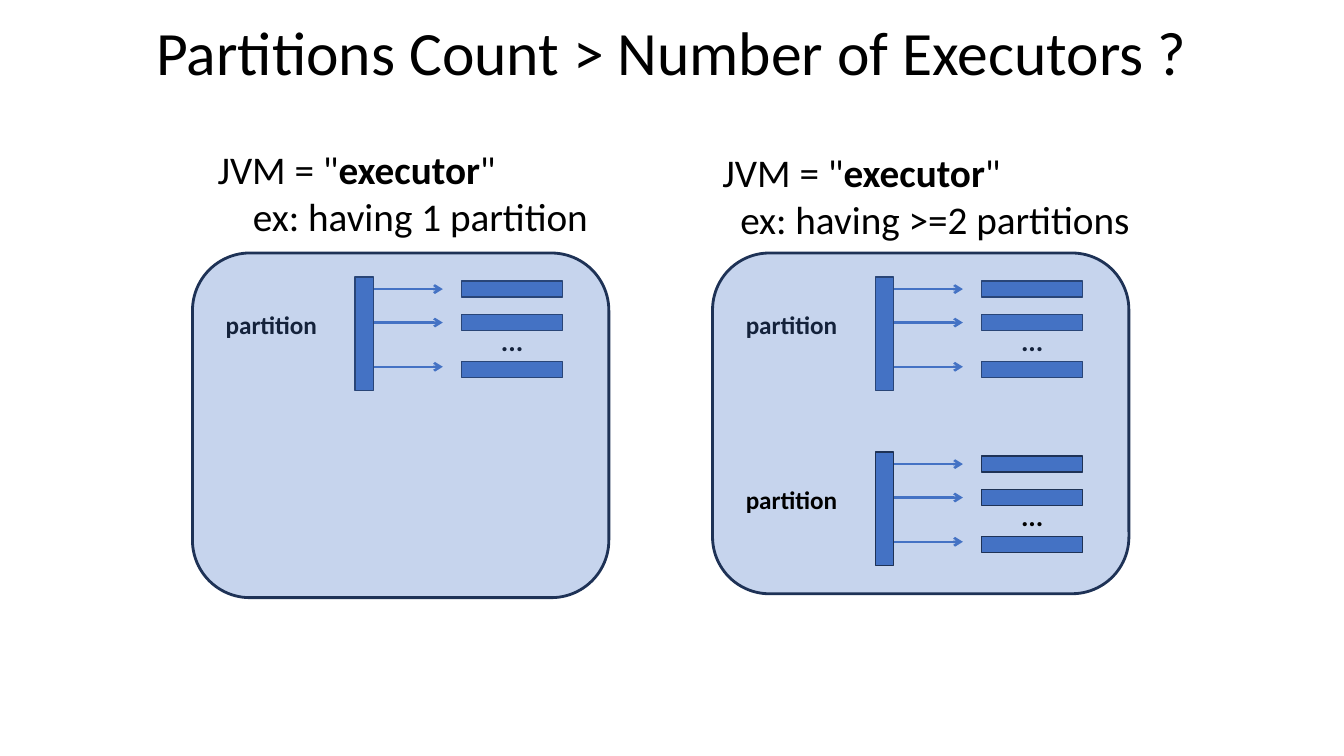
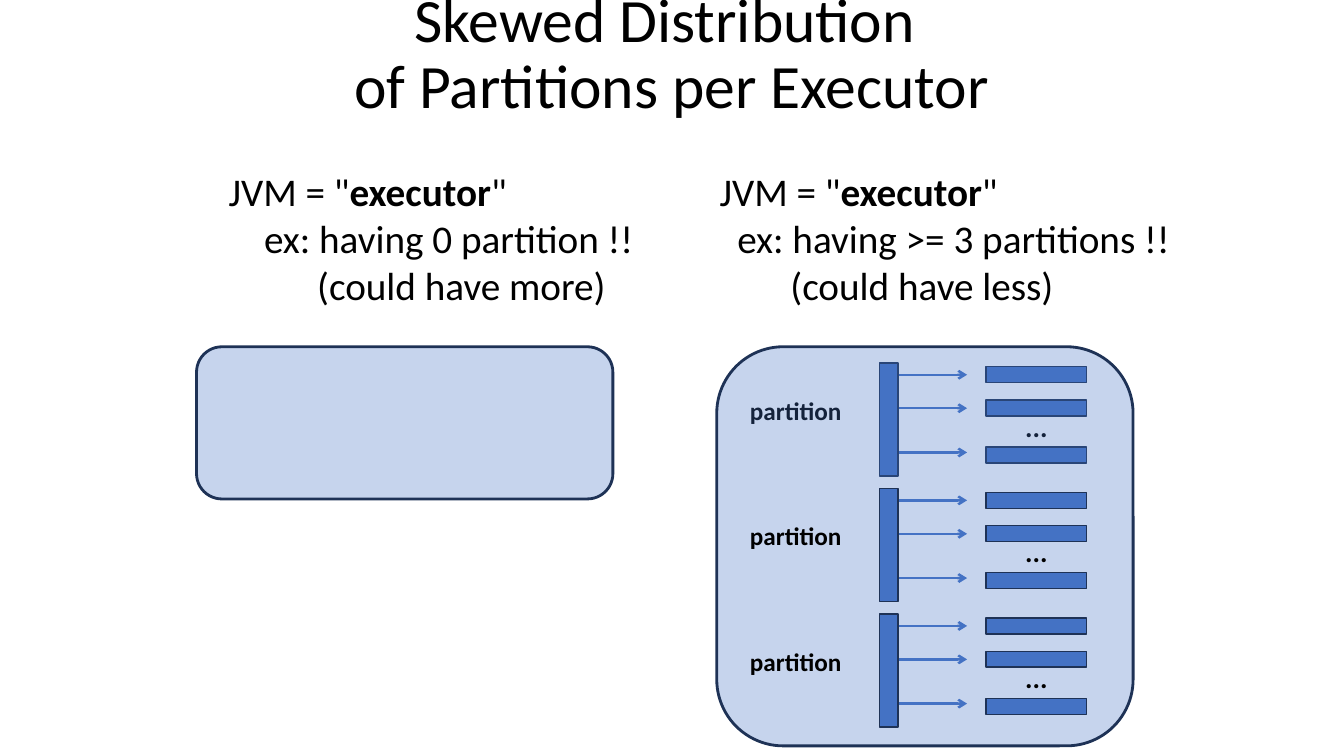
from lxml import etree
from pptx import Presentation
from pptx.dml.color import RGBColor
from pptx.enum import shapes as kinds, text as txt
from pptx.oxml.ns import qn
from pptx.util import Pt

BLUE = RGBColor(0x44, 0x72, 0xC4)
NAVY = RGBColor(0x1E, 0x32, 0x56)
BLACK = RGBColor(0, 0, 0)
FONT = "Calibri"

HEADING = [('JVM = "', False), ("executor", True), ('"', False)]

# caption: left, top, width; detail: (indent, words); box: left, top, height
SLIDES = [
    {
        "title": ["Partitions Count > Number of Executors ?"],
        "executors": [
            {"caption": (148.3, 100.1, 300), "box": (137.5, 180.7, 246.2),
             "details": [(25.3, "ex: having 1 partition")],
             "partition_tops": [198]},
            {"caption": (509, 102.2, 320), "box": (509, 180.7, 243.4),
             "details": [(12.7, "ex: having >=2 partitions")],
             "partition_tops": [198, 323]},
        ],
    },
    {
        "title": ["Skewed Distribution ", "of Partitions per Executor"],
        "executors": [
            {"caption": (156.2, 116, 325), "box": (140.4, 247.7, 108.7),
             "details": [(25.3, "ex: having 0 partition !!"),
                         (63.3, "(could have more)")],
             "partition_tops": []},
            {"caption": (506.9, 116, 370), "box": (512, 247.7, 285.1),
             "details": [(12.7, "ex: having >= 3 partitions !!"),
                         (50.6, "(could have less)")],
             "partition_tops": [259.2 + 89.7 * i for i in range(3)]},
        ],
    },
]

BOX_WIDTH = 297.4
# Heights below the top of a partition bar
ARROW_DROPS = (8.5, 32.4, 64)
RECORD_DROPS = (2.8, 26.6, 60.2)


def add_run(paragraph, words, size, bold=False):
    run = paragraph.add_run()
    run.text = words
    run.font.name, run.font.size, run.font.bold = FONT, Pt(size), bold
    run.font.color.rgb = BLACK


def add_text(parent, left, top, width, height, paragraphs, size):
    """Each paragraph is (indent, [(words, bold), ...])."""
    frame = parent.add_textbox(Pt(left), Pt(top), Pt(width), Pt(height)).text_frame
    frame.word_wrap = True
    for i, (indent, runs) in enumerate(paragraphs):
        paragraph = frame.add_paragraph() if i else frame.paragraphs[0]
        if indent:
            paragraph._p.get_or_add_pPr().set("marL", str(Pt(indent)))
        for words, bold in runs:
            add_run(paragraph, words, size, bold)


def add_block(parent, kind, left, top, width, height, border=1, opacity=None):
    block = parent.add_shape(kind, Pt(left), Pt(top), Pt(width), Pt(height))
    block.shadow.inherit = False
    block.fill.solid()
    block.fill.fore_color.rgb = BLUE
    block.line.color.rgb = NAVY
    block.line.width = Pt(border)
    if opacity:
        color = block._element.spPr.find(qn("a:solidFill"))[0]
        etree.SubElement(color, qn("a:alpha")).set("val", str(opacity * 1000))


def add_arrow(parent, left, right, y):
    arrow = parent.add_connector(
        kinds.MSO_CONNECTOR.STRAIGHT, Pt(left), Pt(y), Pt(right), Pt(y))
    arrow.line.color.rgb = BLUE
    arrow.line.width = Pt(1.75)
    etree.SubElement(arrow.line._get_or_add_ln(), qn("a:tailEnd")).set("type", "arrow")
    etree.SubElement(arrow._element.spPr, qn("a:effectLst"))


def add_partition(slide, left, top):
    """Label, bar and arrows to records; left is that of the executor box."""
    rectangle = kinds.MSO_SHAPE.RECTANGLE
    add_text(slide.shapes, left + 16.6, top + 19.4, 95, 29,
             [(0, [("partition", True)])], 18)
    diagram = slide.shapes.add_group_shape().shapes
    for drop in ARROW_DROPS:
        add_arrow(diagram, left + 126, left + 178.8, top + drop)
    for drop in RECORD_DROPS:
        add_block(diagram, rectangle, left + 192.3, top + drop, 72, 11.4)
    add_text(diagram, left + 213.2, top + 29.5, 34, 31.5, [(0, [("...", True)])], 20)
    add_block(diagram, rectangle, left + 116.2, top, 13.2, 80.8)


def add_executor(slide, executor):
    left, top, height = executor["box"]
    tops = executor["partition_tops"]
    # The translucent box tints the first partition and lies under the others
    for partition_top in tops[:1]:
        add_partition(slide, left, partition_top)
    add_block(slide.shapes, kinds.MSO_SHAPE.ROUNDED_RECTANGLE,
              left, top, BOX_WIDTH, height, border=2, opacity=30)
    for partition_top in tops[1:]:
        add_partition(slide, left, partition_top)
    details = [(indent, [(words, False)]) for indent, words in executor["details"]]
    caption_left, caption_top, width = executor["caption"]
    add_text(slide.shapes, caption_left, caption_top, width,
             41 + 34 * len(details), [(0, HEADING)] + details, 28)


def add_title(slide, lines):
    title = slide.shapes.title
    title.left, title.top, title.width, title.height = (
        Pt(66), Pt(7.2), Pt(828), Pt(64.8))
    frame = title.text_frame
    frame.auto_size = txt.MSO_AUTO_SIZE.NONE
    frame.vertical_anchor = txt.MSO_ANCHOR.MIDDLE
    paragraph = frame.paragraphs[0]
    paragraph.alignment = txt.PP_ALIGN.CENTER
    paragraph.line_spacing = 0.9
    for i, line in enumerate(lines):
        if i:
            paragraph.add_line_break()
        add_run(paragraph, line, 44)


def main():
    deck = Presentation()
    deck.slide_width, deck.slide_height = Pt(960), Pt(540)
    title_only = deck.slide_layouts[5]
    for content in SLIDES:
        slide = deck.slides.add_slide(title_only)
        add_title(slide, content["title"])
        for executor in content["executors"]:
            add_executor(slide, executor)
    deck.save("out.pptx")


if __name__ == "__main__":
    main()
